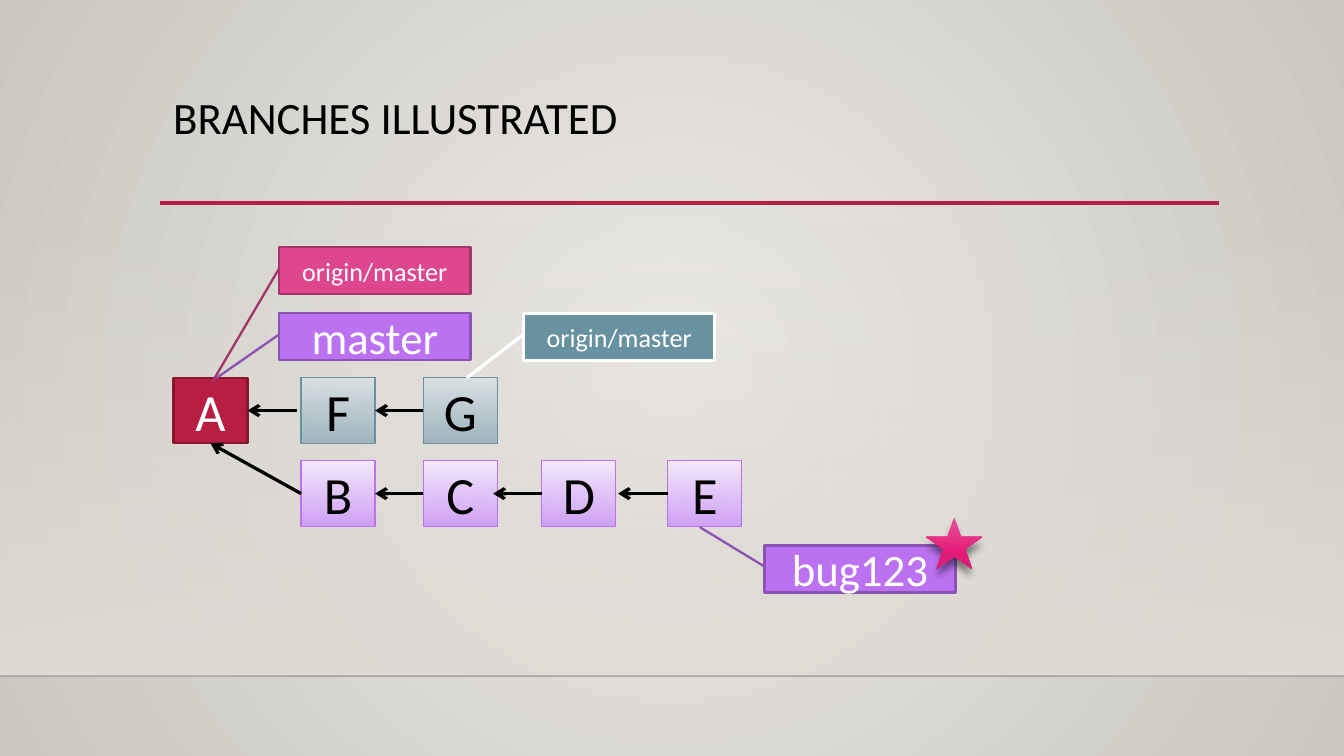
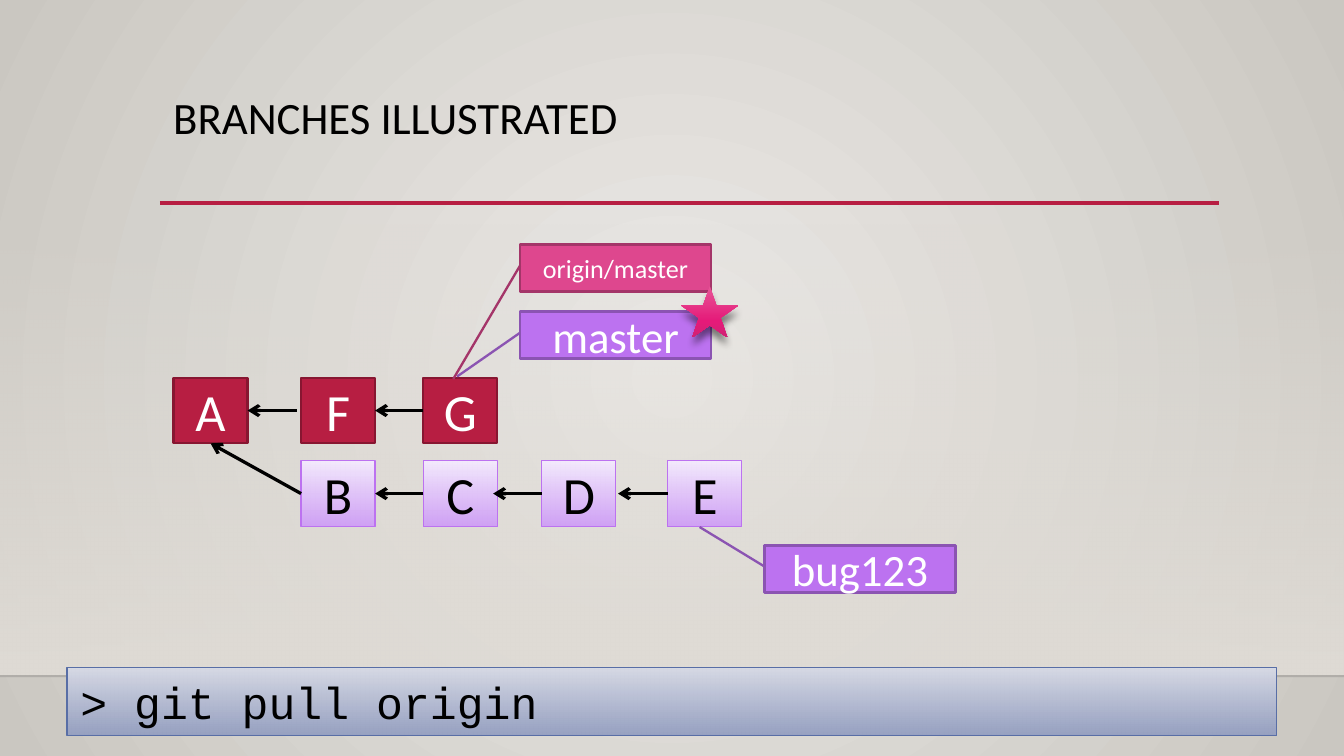
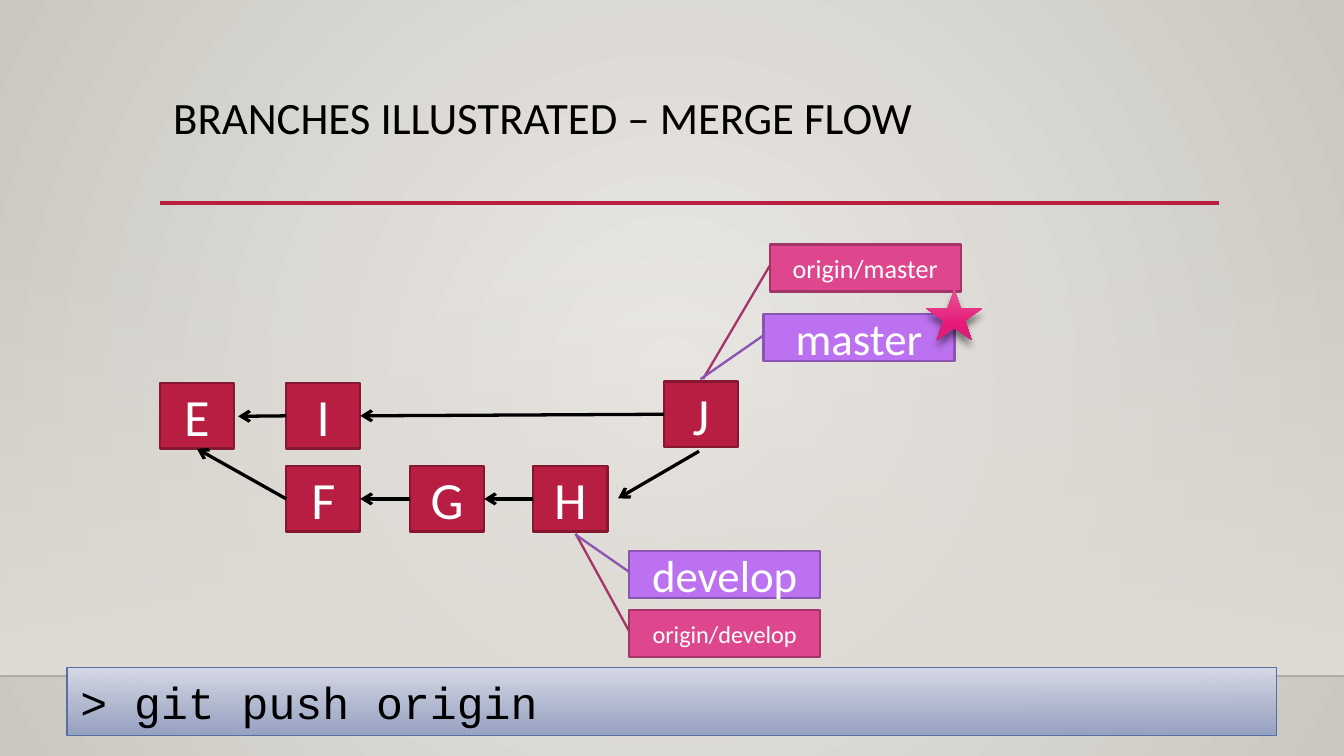
"""Build three slides that show how commits and branches move in git."""
from lxml import etree
from pptx import Presentation
from pptx import util as u
from pptx.dml.color import RGBColor
from pptx.enum import shapes, text
from pptx.oxml.ns import qn

COLORS = {
    "black": "000000", "white": "FFFFFF", "edge": "000001", "band": "DFDBD5",
    "glow": "ECEAE7", "stone": "CAC7C1",
    "red": "B71E42", "dark red": "871631",
    "purple": "BC72F0", "dark purple": "8B54B2", "lilac": "F4EAFD", "violet": "CE9CF7",
    "pink": "DE478E", "dark pink": "A43569",
    "teal": "6892A0", "mist": "D9E1E4", "slate": "9AB2BC",
    "blue": "586EA6", "pale blue": "D6D9E5", "steel": "929DC0",
    "star top": "E75597", "star middle": "E51A79", "star bottom": "CF2374",
}
RGB = {name: RGBColor.from_string(value) for name, value in COLORS.items()}


def paint(fill, root, *stops, circle=False):
    """Fill with a gradient of (position, colour, alpha) stops in percent."""
    fill.gradient()
    fill.gradient_angle = 270
    gradient = root.find(".//" + qn("a:gradFill"))
    stop_list = gradient.find(qn("a:gsLst"))
    for old in list(stop_list):
        stop_list.remove(old)
    for position, color, alpha in stops:
        stop = etree.SubElement(stop_list, qn("a:gs"), pos=str(position * 1000))
        value = etree.SubElement(stop, qn("a:srgbClr"), val=COLORS[color])
        if alpha < 100:
            etree.SubElement(value, qn("a:alpha"), val=str(alpha * 1000))
    if circle:
        gradient.remove(gradient.find(qn("a:lin")))
        center = etree.SubElement(gradient, qn("a:path"), path="circle")
        sides = dict.fromkeys("ltrb", "50000")
        etree.SubElement(center, qn("a:fillToRect"), **sides)


def write(box, words, size=24, color="black", font="Calibri", align="CENTER",
          anchor="MIDDLE", fit="NONE", spacing=None):
    """Put one formatted paragraph into a box."""
    frame = box.text_frame
    frame.word_wrap = True
    frame.auto_size = text.MSO_AUTO_SIZE[fit]
    frame.vertical_anchor = text.MSO_ANCHOR[anchor]
    para = frame.paragraphs[0]
    para.alignment = text.PP_ALIGN[align]
    para.line_spacing = spacing
    span = para.add_run()
    span.text = words
    span.font.name = font
    span.font.size = u.Pt(size)
    span.font.color.rgb = RGB[color]


COMMIT_STYLES = {
    "shared": (None, "dark red", 1.25, "white"),
    "local": (("lilac", "violet"), "purple", 0.75, "black"),
    "remote": (("mist", "slate"), "teal", 0.75, "black"),
}
LABEL_STYLES = {
    "local": ("purple", "dark purple", 1.25, 24),
    "tracking": ("pink", "dark pink", 1.25, 14),
    "remote": ("teal", "white", 1.75, 14),
}
COMMIT_WIDTH, COMMIT_HEIGHT = u.Cm(1.4), u.Cm(1.24)
LABEL_WIDTH, LABEL_HEIGHT = u.Cm(3.61), u.Cm(0.89)
MASTER_TAIL, ORIGIN_TAIL = (1.38, -0.33), (2.86, -0.35)
LEFT, BOTTOM, RIGHT = 1, 2, 3

BUG_COMMITS = [("A", 3.28, 7.14, "shared")] + [
    (name, left, 8.71, "local")
    for name, left in [("B", 5.69), ("C", 8), ("D", 10.24), ("E", 12.62)]]
BUG_ARROWS = [
    (("B", LEFT), ("A", BOTTOM)), (("C", LEFT), ("B", RIGHT)),
    (("D", LEFT), (9.32, 9.33)), (("E", LEFT), (11.68, 9.33)),
    (("G", LEFT), ("F", RIGHT)), ((5.61, 7.76), ("A", RIGHT)),
]
BUG_LABEL = ("bug123", 14.45, 10.31, "local", (-0.39, -0.34))

PAGES = [
    {
        "title": "BRANCHES ILLUSTRATED",
        "commits": BUG_COMMITS + [("F", 5.69, 7.14, "remote"), ("G", 8, 7.14, "remote")],
        "arrows": BUG_ARROWS,
        "labels": [
            ("master", 5.28, 5.92, "local", MASTER_TAIL),
            BUG_LABEL,
            ("origin/master", 5.28, 4.67, "tracking", ORIGIN_TAIL),
            ("origin/master", 9.9, 5.92, "remote", (1.38, -0.3)),
        ],
        "star": (17.5, 9.78),
        "command": None,
    },
    {
        "title": "BRANCHES ILLUSTRATED",
        "commits": BUG_COMMITS + [("F", 5.69, 7.14, "shared"), ("G", 8, 7.14, "shared")],
        "arrows": BUG_ARROWS,
        "labels": [
            ("master", 9.83, 5.89, "local", MASTER_TAIL),
            BUG_LABEL,
            ("origin/master", 9.83, 4.62, "tracking", ORIGIN_TAIL),
        ],
        "star": (12.88, 5.41),
        "command": "> git pull origin",
    },
    {
        "title": "BRANCHES ILLUSTRATED – MERGE FLOW",
        "commits": [
            (name, left, top, "shared") for name, left, top in [
                ("E", 3.02, 7.24), ("F", 5.41, 8.81), ("G", 7.75, 8.81),
                ("H", 10.08, 8.81), ("I", 5.41, 7.24), ("J", 12.55, 7.21)]],
        "arrows": [
            (("F", LEFT), ("E", BOTTOM)), (("G", LEFT), ("F", RIGHT)),
            (("H", LEFT), ("G", RIGHT)), (("I", LEFT), (4.5, 7.87)),
            (("J", LEFT), ("I", RIGHT)), ((13.21, 8.53), (11.68, 9.42)),
        ],
        "labels": [
            ("origin/master", 14.55, 4.62, "tracking", ORIGIN_TAIL),
            ("origin/develop", 11.89, 11.53, "tracking", (-1.62, -0.28)),
            ("master", 14.43, 5.94, "local", MASTER_TAIL),
            ("develop", 11.89, 10.41, "local", (-0.34, -0.28)),
        ],
        "star": (17.5, 5.46),
        "command": "> git push origin",
    },
]

deck = Presentation()
deck.slide_width, deck.slide_height = u.Cm(25.4), u.Cm(14.29)
paint(deck.slide_master.background.fill, deck.slide_master.element,
      (0, "glow", 100), (100, "stone", 100), circle=True)

layout = deck.slide_layouts.get_by_name("Title Only")
for holder in list(layout.placeholders):
    if holder.placeholder_format.type == shapes.PP_PLACEHOLDER.TITLE:
        holder.left, holder.top = u.Cm(3.02), u.Cm(1.68)
        holder.width, holder.height = u.Cm(20.02), u.Cm(2.18)
    else:
        holder.element.getparent().remove(holder.element)

pages = [deck.slides.add_slide(layout) for _ in PAGES]

band = pages[0].shapes.add_shape(
    shapes.MSO_SHAPE.RECTANGLE, 0, u.Cm(4.22), deck.slide_width, u.Cm(8.56))
band.shadow.inherit = False
band.line.fill.background()
paint(band.fill, band.element, (0, "band", 0), (100, "band", 100))
layout.shapes.element.append(band.element)
for left, right, top, color, weight, alpha in [
        (0, 25.4, 12.78, "edge", 1, 20), (3.02, 23.04, 3.84, "red", 2.5, 100)]:
    rule = pages[0].shapes.add_connector(
        shapes.MSO_CONNECTOR.STRAIGHT, u.Cm(left), u.Cm(top), u.Cm(right), u.Cm(top))
    rule.line.color.rgb = RGB[color]
    rule.line.width = u.Pt(weight)
    value = rule.element.spPr.find(".//" + qn("a:srgbClr"))
    etree.SubElement(value, qn("a:alpha"), val=str(alpha * 1000))
    etree.SubElement(rule.element.spPr, qn("a:effectLst"))
    layout.shapes.element.append(rule.element)
for number, element in enumerate(layout.element.iter(qn("p:cNvPr")), 1):
    element.set("id", str(number))

for page, content in zip(pages, PAGES):
    write(page.shapes.title, content["title"], align="LEFT", anchor="TOP", spacing=0.9)

    commits = {}
    for name, left, top, style in content["commits"]:
        blend, outline, weight, color = COMMIT_STYLES[style]
        box = page.shapes.add_shape(
            shapes.MSO_SHAPE.RECTANGLE, u.Cm(left), u.Cm(top), COMMIT_WIDTH, COMMIT_HEIGHT)
        box.shadow.inherit = False
        if blend:
            paint(box.fill, box.element, (0, blend[0], 100), (100, blend[1], 92))
        else:
            box.fill.solid()
            box.fill.fore_color.rgb = RGB["red"]
        box.line.color.rgb = RGB[outline]
        box.line.width = u.Pt(weight)
        write(box, name, size=28, color=color)
        commits[name] = box

    for start, end in content["arrows"]:
        arrow = page.shapes.add_connector(shapes.MSO_CONNECTOR.STRAIGHT, 0, 0, 0, 0)
        if start[0] in commits:
            arrow.begin_connect(commits[start[0]], start[1])
        else:
            arrow.begin_x, arrow.begin_y = u.Cm(start[0]), u.Cm(start[1])
        if end[0] in commits:
            arrow.end_connect(commits[end[0]], end[1])
        else:
            arrow.end_x, arrow.end_y = u.Cm(end[0]), u.Cm(end[1])
        arrow.line.color.rgb = RGB["black"]
        arrow.line.width = u.Pt(1.75)
        outline = arrow.element.spPr.find(qn("a:ln"))
        etree.SubElement(outline, qn("a:tailEnd"), type="arrow")
        etree.SubElement(arrow.element.spPr, qn("a:effectLst"))

    for name, left, top, style, tail in content["labels"]:
        color, outline, weight, size = LABEL_STYLES[style]
        label = page.shapes.add_shape(
            shapes.MSO_SHAPE.LINE_CALLOUT_1, u.Cm(left), u.Cm(top), LABEL_WIDTH, LABEL_HEIGHT)
        label.shadow.inherit = False
        for index, amount in enumerate((0.45, 0, *tail)):
            label.adjustments[index] = amount
        label.fill.solid()
        label.fill.fore_color.rgb = RGB[color]
        label.line.color.rgb = RGB[outline]
        label.line.width = u.Pt(weight)
        write(label, name, size=13 if name == "origin/develop" else size, color="white")

    if content["command"]:
        bar = page.shapes.add_shape(
            shapes.MSO_SHAPE.RECTANGLE, u.Cm(1.27), u.Cm(12.62), u.Cm(22.86), u.Cm(1.28))
        bar.shadow.inherit = False
        paint(bar.fill, bar.element, (0, "pale blue", 100), (100, "steel", 92))
        bar.line.color.rgb = RGB["blue"]
        bar.line.width = u.Pt(0.75)
        write(bar, content["command"], font="Courier New", align="LEFT", anchor="TOP",
              fit="SHAPE_TO_FIT_TEXT")

    left, top = content["star"]
    star = page.shapes.add_shape(
        shapes.MSO_SHAPE.STAR_5_POINT, u.Cm(left), u.Cm(top), u.Cm(1.07), u.Cm(0.97))
    star.line.fill.background()
    paint(star.fill, star.element,
          (0, "star top", 100), (69, "star middle", 100), (100, "star bottom", 100))
    star.shadow.inherit = False
    effects = star.element.spPr.find(qn("a:effectLst"))
    shadow = etree.SubElement(effects, qn("a:outerShdw"), blurRad=str(u.Pt(4)),
                              dist=str(u.Pt(4)), dir="5400000", rotWithShape="0")
    shade = etree.SubElement(shadow, qn("a:srgbClr"), val=COLORS["black"])
    etree.SubElement(shade, qn("a:alpha"), val="48000")

deck.save("out.pptx")
